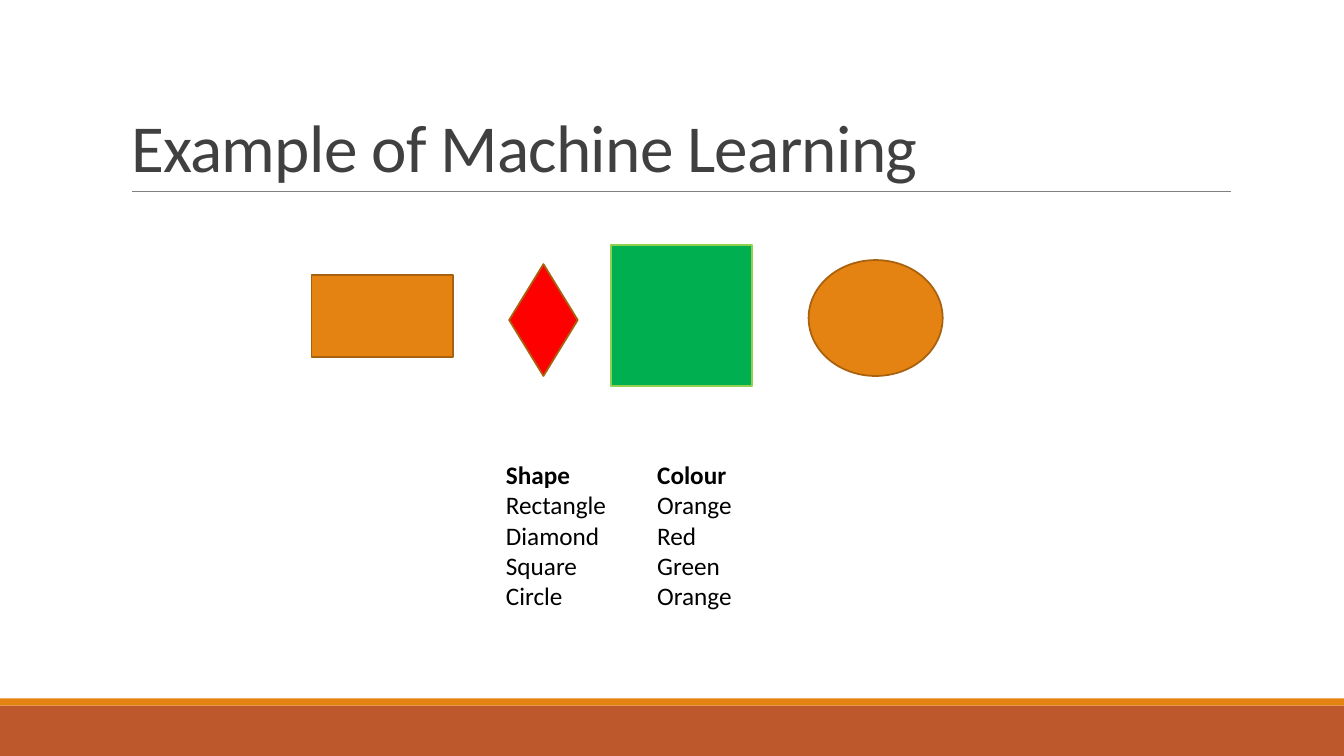
import pptx
import pptx.util
import pptx.dml.color
import pptx.enum.shapes
import pptx.enum.text
import pptx.oxml.ns
import lxml.etree

Inches = pptx.util.Inches
Pt = pptx.util.Pt
RGBColor = pptx.dml.color.RGBColor
Shape = pptx.enum.shapes.MSO_SHAPE
qn = pptx.oxml.ns.qn

WHITE = RGBColor(0xFF, 0xFF, 0xFF)
BLACK = RGBColor(0x00, 0x00, 0x00)
TITLE_GREY = RGBColor(0x40, 0x40, 0x40)
RULE_GREY = RGBColor(0x80, 0x80, 0x80)
RUST = RGBColor(0xBD, 0x58, 0x2C)
ORANGE = RGBColor(0xE4, 0x83, 0x12)
DARK_ORANGE = RGBColor(0xA9, 0x61, 0x0D)
RED = RGBColor(0xFF, 0x00, 0x00)
GREEN = RGBColor(0x00, 0xB0, 0x50)
LIME = RGBColor(0x92, 0xD0, 0x50)
FONT = "Calibri"

EXAMPLES = [
    (Shape.RECTANGLE, 0, 0.3, 1.4, 0.81, ORANGE, DARK_ORANGE),
    (Shape.OVAL, 4.93, 0.15, 1.33, 1.15, ORANGE, DARK_ORANGE),
    (Shape.RECTANGLE, 2.97, 0, 1.4, 1.4, GREEN, LIME),
    (Shape.DIAMOND, 1.96, 0.19, 0.68, 1.11, RED, DARK_ORANGE),
]
OBSERVATIONS = [
    ("Shape", "Colour"),
    ("Rectangle", "Orange"),
    ("Diamond", "Red"),
    ("Square", "Green"),
    ("Circle", "Orange"),
]


def add_figure(slide, kind, left, top, width, height, fill, outline=None):
    figure = slide.shapes.add_shape(
        kind, Inches(left), Inches(top), Inches(width), Inches(height))
    figure.shadow.inherit = False
    figure.fill.solid()
    figure.fill.fore_color.rgb = fill
    if outline is None:
        figure.line.fill.background()
    else:
        figure.line.color.rgb = outline
        figure.line.width = Pt(1.25)


def add_footer_bars(slide, left, top, width, height):
    accent = 0.07
    add_figure(slide, Shape.RECTANGLE, left, top + accent, width, height - accent, RUST)
    add_figure(slide, Shape.RECTANGLE, left, top, width, accent, ORANGE)


def add_heading(slide, left, top, width, height):
    title = slide.shapes.title
    title.left, title.top = Inches(left), Inches(top)
    title.width, title.height = Inches(width), Inches(height)
    title.text_frame.text = "Example of Machine Learning"
    title.text_frame.word_wrap = True
    title.text_frame.vertical_anchor = pptx.enum.text.MSO_ANCHOR.BOTTOM
    heading = title.text_frame.paragraphs[0]
    heading.alignment = pptx.enum.text.PP_ALIGN.LEFT
    heading.line_spacing = 0.85
    heading.font.name = FONT
    heading.font.size = Pt(48)
    heading.font.color.rgb = TITLE_GREY
    heading.runs[0].font._element.set("spc", "-50")

    bottom = Inches(top + height)
    rule = slide.shapes.add_connector(
        pptx.enum.shapes.MSO_CONNECTOR.STRAIGHT,
        Inches(left + 0.11), bottom, Inches(left + width + 0.01), bottom)
    rule.line.color.rgb = RULE_GREY
    rule.line.width = Pt(0.5)
    lxml.etree.SubElement(rule._element.spPr, qn("a:effectLst"))


def add_examples(slide, left, top):
    for kind, dx, dy, width, height, fill, outline in EXAMPLES:
        add_figure(slide, kind, left + dx, top + dy, width, height, fill, outline)


def add_observations(slide, left, top, width, height):
    box = slide.shapes.add_textbox(
        Inches(left), Inches(top), Inches(width), Inches(height))
    frame = box.text_frame
    frame.word_wrap = True
    frame.text = "\n".join("\t".join(row) for row in OBSERVATIONS)
    for index, row in enumerate(frame.paragraphs):
        row.font.name = FONT
        row.font.size = Pt(18)
        row.font.color.rgb = BLACK
        row.font.bold = index == 0
        properties = row._p.get_or_add_pPr()
        stops = lxml.etree.Element(qn("a:tabLst"))
        lxml.etree.SubElement(
            stops, qn("a:tab"), pos=str(Inches(1.5)), algn="l")
        properties.insert(0, stops)


def build_example_slide(presentation):
    slide = presentation.slides.add_slide(presentation.slide_layouts[5])
    slide.background.fill.solid()
    slide.background.fill.fore_color.rgb = WHITE
    add_footer_bars(slide, 0, 6.93, 13.33, 0.57)
    add_heading(slide, 1.2, 0.31, 11, 1.59)
    add_examples(slide, 3.09, 2.43)
    add_observations(slide, 4.92, 4.51, 7.54, 1.62)


def main():
    presentation = pptx.Presentation()
    presentation.slide_width = Inches(13.33)
    presentation.slide_height = Inches(7.5)
    build_example_slide(presentation)
    presentation.save("out.pptx")


if __name__ == "__main__":
    main()
